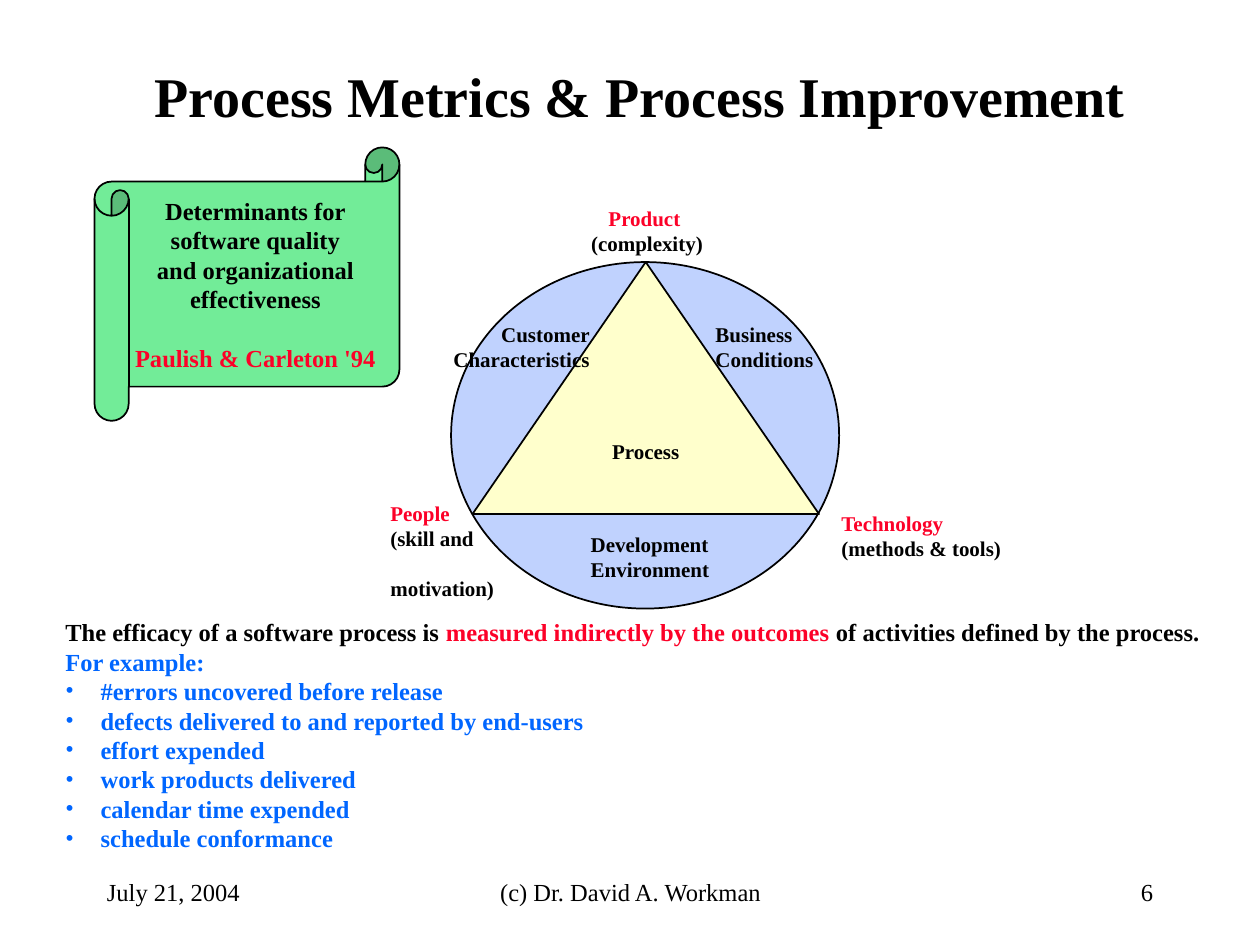
from lxml import etree
from pptx import Presentation
from pptx.dml.color import RGBColor
from pptx.enum.shapes import MSO_SHAPE
from pptx.enum.text import MSO_ANCHOR, MSO_AUTO_SIZE, PP_ALIGN
from pptx.oxml.ns import qn
from pptx.util import Inches, Pt

LEFT, CENTER, RIGHT = PP_ALIGN.LEFT, PP_ALIGN.CENTER, PP_ALIGN.RIGHT
TOP, MIDDLE = MSO_ANCHOR.TOP, MSO_ANCHOR.MIDDLE
FIT = MSO_AUTO_SIZE.SHAPE_TO_FIT_TEXT
ELLIPSE, TRIANGLE = MSO_SHAPE.OVAL, MSO_SHAPE.ISOSCELES_TRIANGLE
SCROLL = MSO_SHAPE.HORIZONTAL_SCROLL

FONT = "Times New Roman"
COLORS = {
    "black": "000000",
    "red": "FC0128",
    "blue": "0066FF",
    "circle": "C0D2FE",
    "triangle": "FFFFCC",
    "scroll": "72EC98",
}

deck = Presentation()
deck.slide_width, deck.slide_height = Inches(10), Inches(7.5)
page = deck.slides.add_slide(deck.slide_layouts[6])


def add_para(frame, text, size=12, color="black", bold=True, align=LEFT,
             before=0, bullet_indent=0):
    first = frame.paragraphs[0]
    para = first if not first.runs else frame.add_paragraph()
    para.alignment = align
    if before:
        para.space_before = Pt(before)
    if bullet_indent:
        props = para._p.get_or_add_pPr()
        props.set("marL", str(Inches(bullet_indent)))
        props.set("indent", str(-Inches(bullet_indent)))
        fill = etree.SubElement(props, qn("a:buClr"))
        etree.SubElement(fill, qn("a:srgbClr"), val=COLORS[color])
        etree.SubElement(props, qn("a:buFont"), typeface=FONT)
        etree.SubElement(props, qn("a:buChar"), char="•")
    spans = [(text, color)] if isinstance(text, str) else text
    for words, tint in spans:
        span = para.add_run()
        span.text = words
        span.font.name = FONT
        span.font.size = Pt(size)
        span.font.bold = bold
        span.font.color.rgb = RGBColor.from_string(COLORS[tint])


def add_box(left, top, width, height, shape=None, fill=None, anchor=TOP, wrap=False):
    place = [Inches(value) for value in (left, top, width, height)]
    if shape is None:
        box = page.shapes.add_textbox(*place)
    else:
        box = page.shapes.add_shape(shape, *place)
        box.shadow.inherit = False
        box.fill.solid()
        box.fill.fore_color.rgb = RGBColor.from_string(COLORS[fill])
        box.line.color.rgb = RGBColor.from_string(COLORS["black"])
        box.line.width = Pt(1)
    frame = box.text_frame
    frame.word_wrap = wrap
    frame.vertical_anchor = anchor
    if shape is None and not wrap:
        frame.auto_size = FIT
    return frame


title = add_box(0.83, 0.42, 8.5, 0.67, anchor=MIDDLE, wrap=True)
add_para(title, "Process Metrics & Process Improvement", size=32, align=CENTER)

add_box(3.58, 2.08, 3.08, 2.75, shape=ELLIPSE, fill="circle")
process = add_box(3.75, 2.08, 2.75, 2, shape=TRIANGLE, fill="triangle", anchor=MIDDLE)
add_para(process, "Process", align=CENTER)

scroll = add_box(0.75, 1.17, 2.42, 2.17, shape=SCROLL, fill="scroll", anchor=MIDDLE)
for line in ("Determinants for", "software quality", "and organizational", "effectiveness"):
    add_para(scroll, line, size=14, align=CENTER)
add_para(scroll, "Paulish & Carleton '94", size=14, color="red", align=CENTER, before=16.8)

corners = [
    (4.59, 1.58, 1.09, 0.5, CENTER, "Product ", ["(complexity)"]),
    (6.58, 4, 1.47, 0.5, LEFT, "Technology", ["(methods & tools)"]),
    (3, 3.92, 1.06, 0.7, LEFT, "People", ["(skill and", " motivation)"]),
]
for left, top, width, height, align, heading, details in corners:
    corner = add_box(left, top, width, height)
    add_para(corner, heading, color="red", align=align)
    for detail in details:
        add_para(corner, detail, align=align)

segments = [
    (3.5, 2.5, 1.28, RIGHT, ("Customer", "Characteristics")),
    (5.58, 2.5, 0.98, LEFT, ("Business", "Conditions")),
    (4.59, 4.17, 1.14, LEFT, ("Development", "Environment")),
]
for left, top, width, align, lines in segments:
    segment = add_box(left, top, width, 0.5)
    for line in lines:
        add_para(segment, line, align=align)

outcomes = add_box(0.42, 4.85, 9.22, 1.97)
add_para(outcomes, [
    ("The efficacy of a software process is ", "black"),
    ("measured indirectly by the outcomes", "red"),
    (" of activities defined by the process.", "black"),
], size=14)
add_para(outcomes, "For example:", size=14, color="blue")
for example in (
    "#errors uncovered before release",
    "defects delivered to and reported by end-users",
    "effort expended",
    "work products delivered",
    "calendar time expended",
    "schedule conformance",
):
    add_para(outcomes, example, size=14, color="blue", bullet_indent=0.28)

footers = [
    (0.75, 2.08, LEFT, "July 21, 2004"),
    (3.42, 3.17, CENTER, "(c) Dr. David A. Workman"),
    (7.17, 2.08, RIGHT, "6"),
]
for left, width, align, text in footers:
    footer = add_box(left, 6.83, width, 0.5, anchor=MIDDLE, wrap=True)
    add_para(footer, text, size=14, bold=False, align=align)

deck.save("out.pptx")
